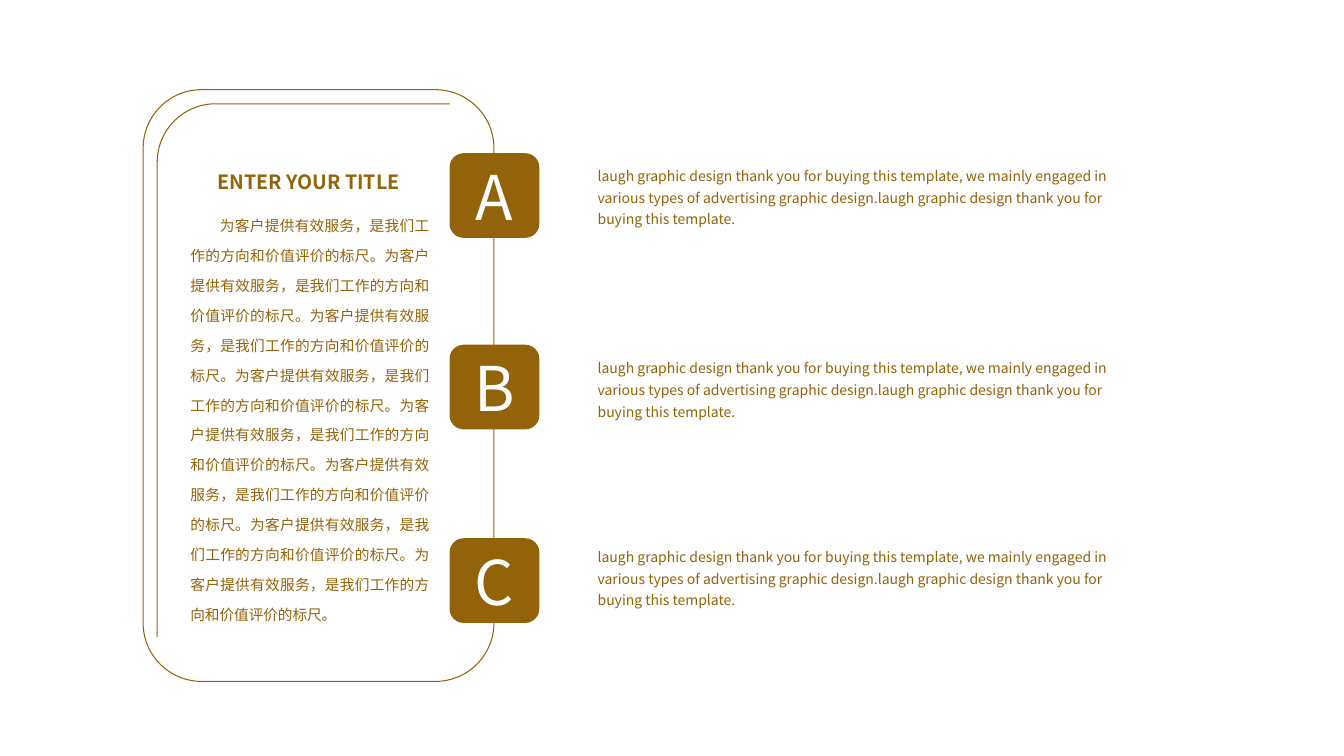
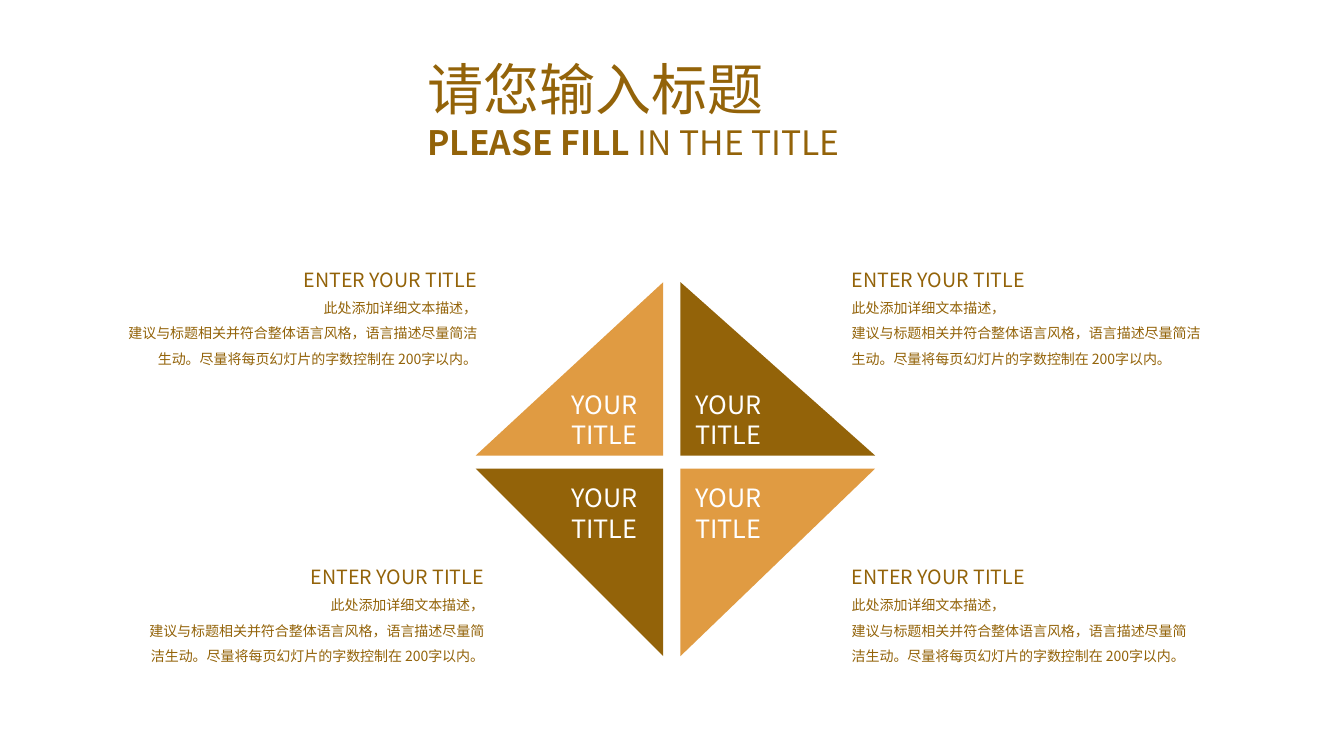
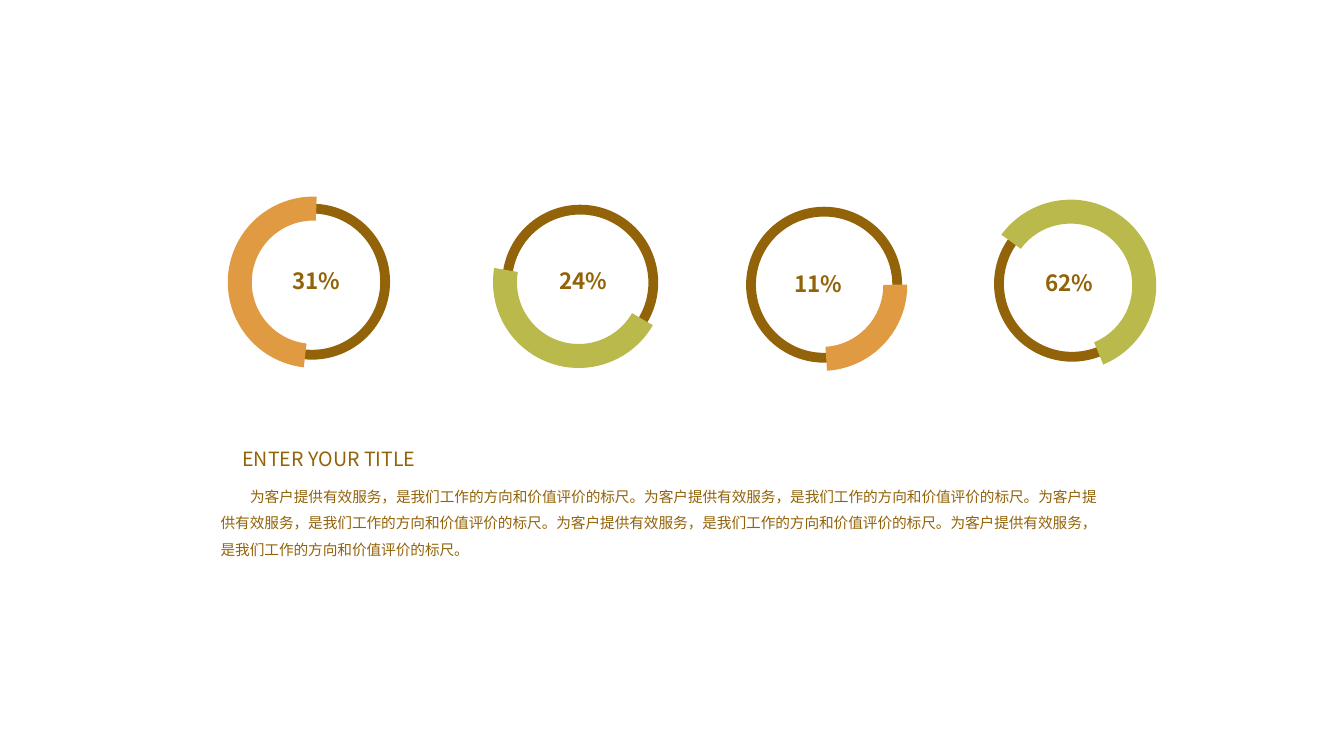
from math import cos, pi, sin

from lxml.etree import SubElement
from pptx import Presentation
from pptx.dml.color import RGBColor
from pptx.enum.shapes import MSO_SHAPE
from pptx.enum.text import MSO_ANCHOR, MSO_AUTO_SIZE, PP_ALIGN
from pptx.oxml.ns import qn
from pptx.util import Inches, Pt

SLIDE_W, SLIDE_H = Inches(13.33), Inches(7.5)
BROWN, ORANGE, GREEN, WHITE = "936309", "E09B42", "B9B94C", "FFFFFF"
FONT, BADGE_FONT = "Noto Sans CJK SC", "Noto Sans CJK JP"
TITLE_ONLY, BLANK = 5, 6

HEADING = "ENTER YOUR TITLE"
SERVICE = "为客户提供有效服务，是我们工作的方向和价值评价的标尺。"
DESIGN = ("laugh graphic design thank you for buying this template, we mainly "
          "engaged in various types of advertising graphic design.laugh graphic "
          "design thank you for buying this template.")
NOTE = ("此处添加详细文本描述，",
        "建议与标题相关并符合整体语言风格，语言描述尽量简洁生动。"
        "尽量将每页幻灯片的字数控制在 200字以内。")


def color(hex_value):
    return RGBColor.from_string(hex_value)


def px(share):
    """Length for a percentage of the slide width."""
    return round(SLIDE_W * share / 100)


def py(share):
    """Length for a percentage of the slide height."""
    return round(SLIDE_H * share / 100)


def place(box):
    """Turn left, top, width, height percentages into lengths."""
    x, y, w, h = box
    return px(x), py(y), px(w), py(h)


def add_paragraph(tf, runs, size, fill=BROWN, font=FONT, bold=None, align=None,
                  spacing=None, after=None, indent=0):
    """Add a paragraph; runs is a string or a list of (text, bold) pairs."""
    p = tf.add_paragraph() if tf.text else tf.paragraphs[0]
    if isinstance(runs, str):
        runs = [(runs, None)]
    for text, run_bold in runs:
        r = p.add_run()
        r.text = text
        if run_bold is not None:
            r.font.bold = run_bold
    p.alignment = align
    if spacing:
        p.line_spacing = spacing
    if after:
        p.space_after = Pt(after)
    p.font.size, p.font.bold, p.font.name = Pt(size), bold, font
    p.font.color.rgb = color(fill)
    pPr = p._p.get_or_add_pPr()
    if indent:
        pPr.set("indent", str(Pt(indent)))
    SubElement(pPr.find(qn("a:defRPr")), qn("a:ea"), typeface=font)


def add_text(slide, box):
    tf = slide.shapes.add_textbox(*place(box)).text_frame
    tf.word_wrap = True
    return tf


def paint(sp, fill=None, line=None, width=0):
    sp.shadow.inherit = False
    if fill:
        sp.fill.solid()
        sp.fill.fore_color.rgb = color(fill)
    else:
        sp.fill.background()
    if line:
        sp.line.color.rgb = color(line)
        sp.line.width = Pt(width)
    else:
        sp.line.fill.background()


def add_shape(slide, kind, box, **style):
    sp = slide.shapes.add_shape(kind, *place(box))
    paint(sp, **style)
    return sp


def add_title(slide, box, lines):
    """Fill the title placeholder with (runs, size) lines."""
    sp = slide.shapes.title
    sp.left, sp.top, sp.width, sp.height = place(box)
    tf = sp.text_frame
    tf.word_wrap, tf.auto_size = True, MSO_AUTO_SIZE.NONE
    tf.vertical_anchor = MSO_ANCHOR.TOP
    for runs, size in lines:
        add_paragraph(tf, runs, size, align=PP_ALIGN.JUSTIFY)


def add_inner_outline(slide, left, top, right, bottom, radius):
    """Open line up the left side, round the corner and along the top."""
    x, y, r = px(left), py(top), px(radius)
    steps = 24
    angles = [pi / 2 * i / steps for i in range(steps + 1)]
    corner = [(round(x + r - r * cos(a)), round(y + r - r * sin(a)))
              for a in angles]
    builder = slide.shapes.build_freeform(x, py(bottom))
    builder.add_line_segments(corner + [(px(right), y)], close=False)
    paint(builder.convert_to_shape(), line=BROWN)


def add_badge(slide, letter, top):
    sp = add_shape(slide, MSO_SHAPE.ROUNDED_RECTANGLE, (33.45, top, 6.68, 11.2),
                   fill=BROWN)
    tf = sp.text_frame
    tf.vertical_anchor = MSO_ANCHOR.MIDDLE
    add_paragraph(tf, letter, 44, WHITE, BADGE_FONT, align=PP_ALIGN.CENTER)


def add_triangle(slide, box, fill, flip_h, flip_v):
    sp = add_shape(slide, MSO_SHAPE.RIGHT_TRIANGLE, box, fill=fill)
    xfrm = sp._element.spPr.find(qn("a:xfrm"))
    for name, flipped in (("flipH", flip_h), ("flipV", flip_v)):
        if flipped:
            xfrm.set(name, "1")


def add_note(slide, box, align):
    tf = add_text(slide, box)
    add_paragraph(tf, HEADING, 14, align=align, spacing=1.5)
    for line in NOTE:
        add_paragraph(tf, line, 10, align=align, spacing=1.5)


def add_gauge(slide, label, label_at, ring_at, arc_at, rotation, start, end, fill):
    """Draw a ring with a thick arc between two angles in degrees."""
    add_paragraph(add_text(slide, (*label_at, 6.23, 4.93)), label, 16, bold=True)
    add_shape(slide, MSO_SHAPE.OVAL, (*ring_at, 10.88, 19.33), line=BROWN, width=7)
    arc = add_shape(slide, MSO_SHAPE.BLOCK_ARC, (*arc_at, 12.75, 22.67), fill=fill)
    arc.rotation = rotation
    for i, value in enumerate((start * 0.6, end * 0.6, 0.14)):
        arc.adjustments[i] = value


def build_panel_slide(prs):
    slide = prs.slides.add_slide(prs.slide_layouts[BLANK])
    add_shape(slide, MSO_SHAPE.ROUNDED_RECTANGLE, (10.65, 11.87, 26.1, 78.27),
              line=BROWN)
    add_inner_outline(slide, 11.7, 13.73, 33.45, 84.27, radius=4.35)
    add_paragraph(add_text(slide, (15.45, 20.27, 17.25, 6)), HEADING, 14,
                  bold=True, align=PP_ALIGN.JUSTIFY, spacing=1.5)
    add_paragraph(add_text(slide, (13.43, 26.4, 19.28, 57.33)), SERVICE * 8, 10.5,
                  align=PP_ALIGN.JUSTIFY, spacing=1.7, indent=21)
    for letter, badge_top, text_top in (("A", 20.27, 20.8), ("B", 45.6, 46.27),
                                        ("C", 71.2, 71.2)):
        add_badge(slide, letter, badge_top)
        add_paragraph(add_text(slide, (43.73, text_top, 39.75, 10.13)), DESIGN, 10,
                      spacing=1.3)


def build_diamond_slide(prs):
    slide = prs.slides.add_slide(prs.slide_layouts[TITLE_ONLY])
    add_title(slide, (31.05, 6.53, 37.95, 15.73), [
        ("请您输入标题", 40),
        ([("PLEASE FILL ", True), ("IN THE TITLE", False)], 24)])
    # left and width, label left, note alignment
    columns = ((35.4, 13.95, 41.78, PP_ALIGN.RIGHT),
               (50.63, 14.48, 51, PP_ALIGN.LEFT))
    # top and height, label top, note top, note width, left note's left
    rows = ((37.33, 22.93, 50.8, 33.2, 28.28, 7.95),
            (62, 24.8, 63.2, 72.53, 26.85, 9.9))
    for i, (y, h, label_y, note_y, note_w, left_note_x) in enumerate(rows):
        for j, (x, w, label_x, align) in enumerate(columns):
            add_triangle(slide, (x, y, w, h), ORANGE if i == j else BROWN,
                         flip_h=j == 0, flip_v=i == 1)
            add_paragraph(add_text(slide, (label_x, label_y, 7.2, 9.47)),
                          "YOUR TITLE", 18, WHITE)
            note_x = 62.63 if j else left_note_x
            add_note(slide, (note_x, note_y, note_w, 16.13), align)


def build_gauge_slide(prs):
    slide = prs.slides.add_slide(prs.slide_layouts[BLANK])
    # label, label position, ring position, arc position, rotation, angles, colour
    gauges = (
        ("31%", (21, 34.67), (17.78, 27.6), (16.95, 26), 276.5, 180, 355.64, ORANGE),
        ("24%", (40.88, 34.67), (37.73, 27.73), (36.68, 26), 194, 196.07, 355.64, GREEN),
        ("11%", (58.35, 35.07), (55.88, 28), (54.75, 26.4), 90.7, 268.88, 355.64, ORANGE),
        ("62%", (77.03, 34.93), (74.33, 27.87), (73.28, 26.4), 276.5, 299.74, 151.07, GREEN))
    for gauge in gauges:
        add_gauge(slide, *gauge)
    tf = add_text(slide, (15.68, 56.93, 67.58, 17.73))
    add_paragraph(tf, HEADING, 14, spacing=1.5, after=6, indent=15.5)
    add_paragraph(tf, SERVICE * 5, 10.5, spacing=1.5, indent=21)


def main():
    prs = Presentation()
    prs.slide_width, prs.slide_height = SLIDE_W, SLIDE_H
    build_panel_slide(prs)
    build_diamond_slide(prs)
    build_gauge_slide(prs)
    prs.save("out.pptx")


if __name__ == "__main__":
    main()
